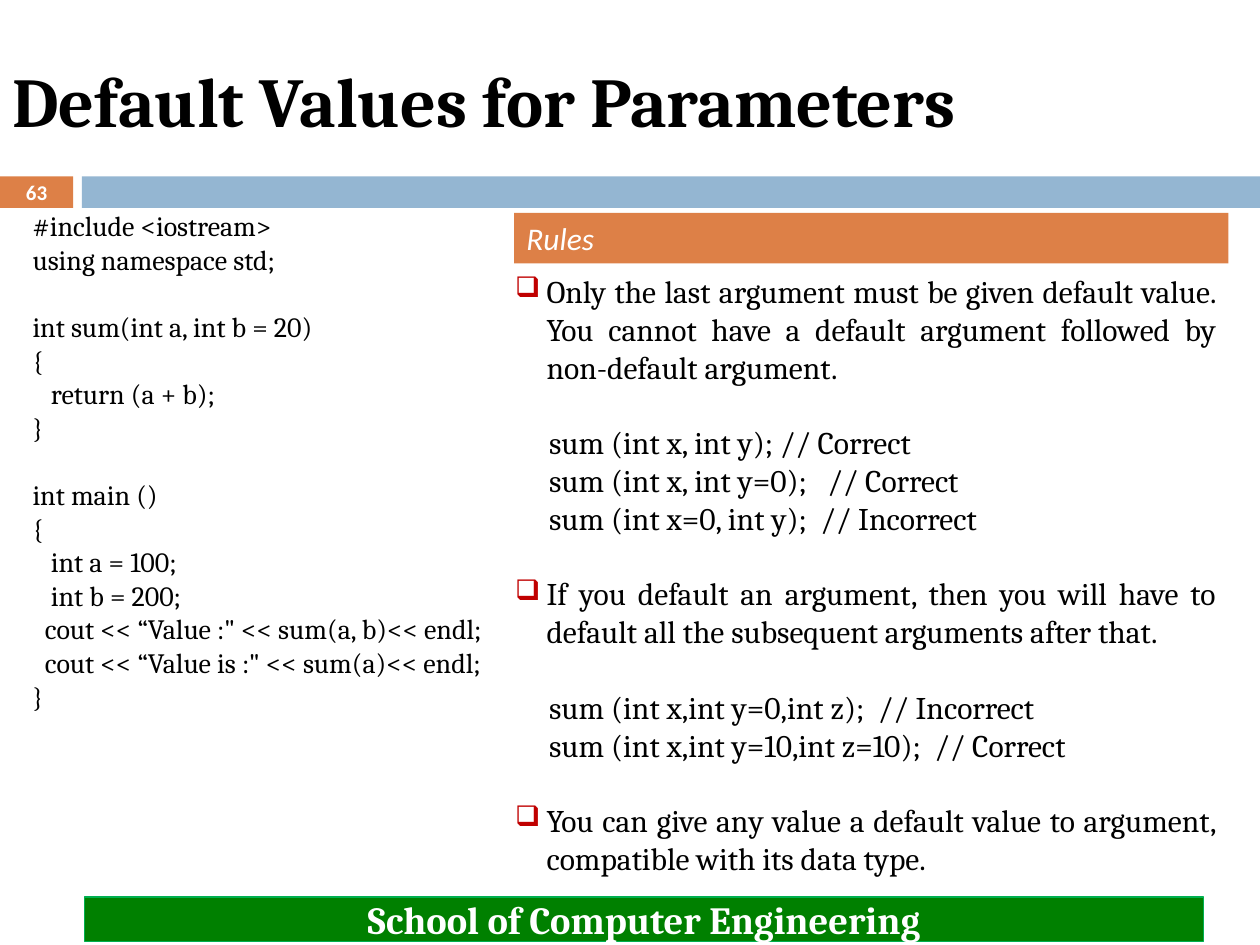
from lxml.etree import SubElement as Sub
from pptx import Presentation
from pptx.dml.color import RGBColor
from pptx.enum.shapes import MSO_SHAPE as Shape
from pptx.enum.text import MSO_ANCHOR as Anchor, PP_ALIGN as Align
from pptx.oxml.ns import qn
from pptx.util import Inches, Pt

CELL = Inches(0.1)
COLS, ROWS = 100, 75
BLACK = RGBColor(0x00, 0x00, 0x00)
WHITE = RGBColor(0xFF, 0xFF, 0xFF)
RUST = RGBColor(0xDD, 0x80, 0x47)
BLUE = RGBColor(0x94, 0xB6, 0xD2)
GREEN = RGBColor(0x00, 0x80, 0x00)
EDGE = RGBColor(0x00, 0xB0, 0x50)
RED = "C00000"
LEAD = 1.2

CODE = [
    """#include <iostream>
using namespace std;""",
    """int sum(int a, int b = 20)
{
   return (a + b);
}""",
    """int main ()
{
   int a = 100;
   int b = 200;
  cout << “Value :" << sum(a, b)<< endl;
  cout << “Value is :" << sum(a)<< endl;
}""",
]

RULES = [
    ("Only the last argument must be given default value. You cannot have a "
     "default argument followed by non-default argument.",
     ["sum (int x, int y); // Correct",
      "sum (int x, int y=0);   // Correct",
      "sum (int x=0, int y);  // Incorrect"]),
    ("If you default an argument, then you will have to default all the "
     "subsequent arguments after that.",
     ["sum (int x,int y=0,int z);  // Incorrect",
      "sum (int x,int y=10,int z=10);  // Correct"]),
    ("You can give any value a default value to argument, compatible with "
     "its data type.", []),
]


def grid(box):
    return [round(CELL * part) for part in box]


def bar(slide, box, fill, edge=None):
    shape = slide.shapes.add_shape(Shape.RECTANGLE, *grid(box))
    shape.shadow.inherit = False
    shape.fill.solid()
    shape.fill.fore_color.rgb = fill
    if edge is None:
        shape.line.fill.background()
    else:
        shape.line.color.rgb = edge
        shape.line.width = Pt(0.75)
    return shape


def pane(slide, box):
    frame = slide.shapes.add_textbox(*grid(box)).text_frame
    frame.word_wrap = True
    return frame


def style(para, size, face="Cambria", color=BLACK, bold=False, slant=False):
    font = para.font
    font.size, font.name = Pt(size), face
    font.bold, font.italic = bold, slant
    font.color.rgb = color


def label(frame, text, align, anchor=Anchor.MIDDLE, **look):
    frame.vertical_anchor = anchor
    para = frame.paragraphs[0]
    para.text = text
    para.alignment = align
    style(para, **look)


def add_line(frame, text, size, left, hang=0, gap=False, mark=False):
    para = frame.paragraphs[0]
    if para.runs:
        para = frame.add_paragraph()
    para.text = text
    para.alignment = Align.JUSTIFY
    props = para._p.get_or_add_pPr()
    props.set("marL", str(Inches(left)))
    props.set("indent", str(Inches(hang)))
    if gap:
        para.space_before = Pt(size * LEAD)
    if mark:
        Sub(Sub(props, qn("a:buClr")), qn("a:srgbClr"), val=RED)
        Sub(props, qn("a:buSzPct"), val="90000")
        Sub(props, qn("a:buChar"), char="❑")
    style(para, size)


def head(slide, box):
    label(pane(slide, box), "Default Values for Parameters", Align.LEFT,
          size=40, bold=True)


def band(slide, box):
    x, y, w, h = box
    tab, gap = 5.8, 0.7
    page = bar(slide, (x, y, tab, h), RUST)
    label(page.text_frame, "63", Align.CENTER,
          size=12, face="Calibri", color=WHITE, bold=True)
    bar(slide, (x + tab + gap, y, w - tab - gap, h), BLUE)


def code(slide, box):
    frame = pane(slide, box)
    for b, block in enumerate(CODE):
        for n, text in enumerate(block.splitlines()):
            add_line(frame, text, 16, 0.06, 0.01, gap=b > 0 and n == 0)


def rules(slide, box):
    x, y, w, h = box
    top, inset = 4, 1.5
    title = bar(slide, (x + inset, y, w - inset, top), RUST)
    label(title.text_frame, "Rules", Align.LEFT, Anchor.TOP,
          size=18, face="Calibri", color=WHITE, slant=True)
    frame = pane(slide, (x, y + top + 0.2, w, h - top - 0.2))
    for r, (rule, calls) in enumerate(RULES):
        add_line(frame, rule, 18, 0.31, -0.25, gap=r > 0, mark=True)
        for n, call in enumerate(calls):
            add_line(frame, call, 18, 0.33, gap=n == 0)


def foot(slide, box):
    shape = bar(slide, box, GREEN, EDGE)
    label(shape.text_frame, "School of Computer Engineering", Align.CENTER,
          size=22, color=WHITE, bold=True)


def main():
    deck = Presentation()
    deck.slide_width, deck.slide_height = CELL * COLS, CELL * ROWS
    slide = deck.slides.add_slide(deck.slide_layouts[6])
    head(slide, (0, 2.5, 89.2, 10.8))
    band(slide, (0, 14, COLS, 2.5))
    code(slide, (0.9, 16.1, 39.9, 41.4))
    rules(slide, (39.3, 16.9, 58.2, 53.1))
    foot(slide, (6.7, 71.2, 88.8, 3.5))
    deck.save("out.pptx")


if __name__ == "__main__":
    main()
